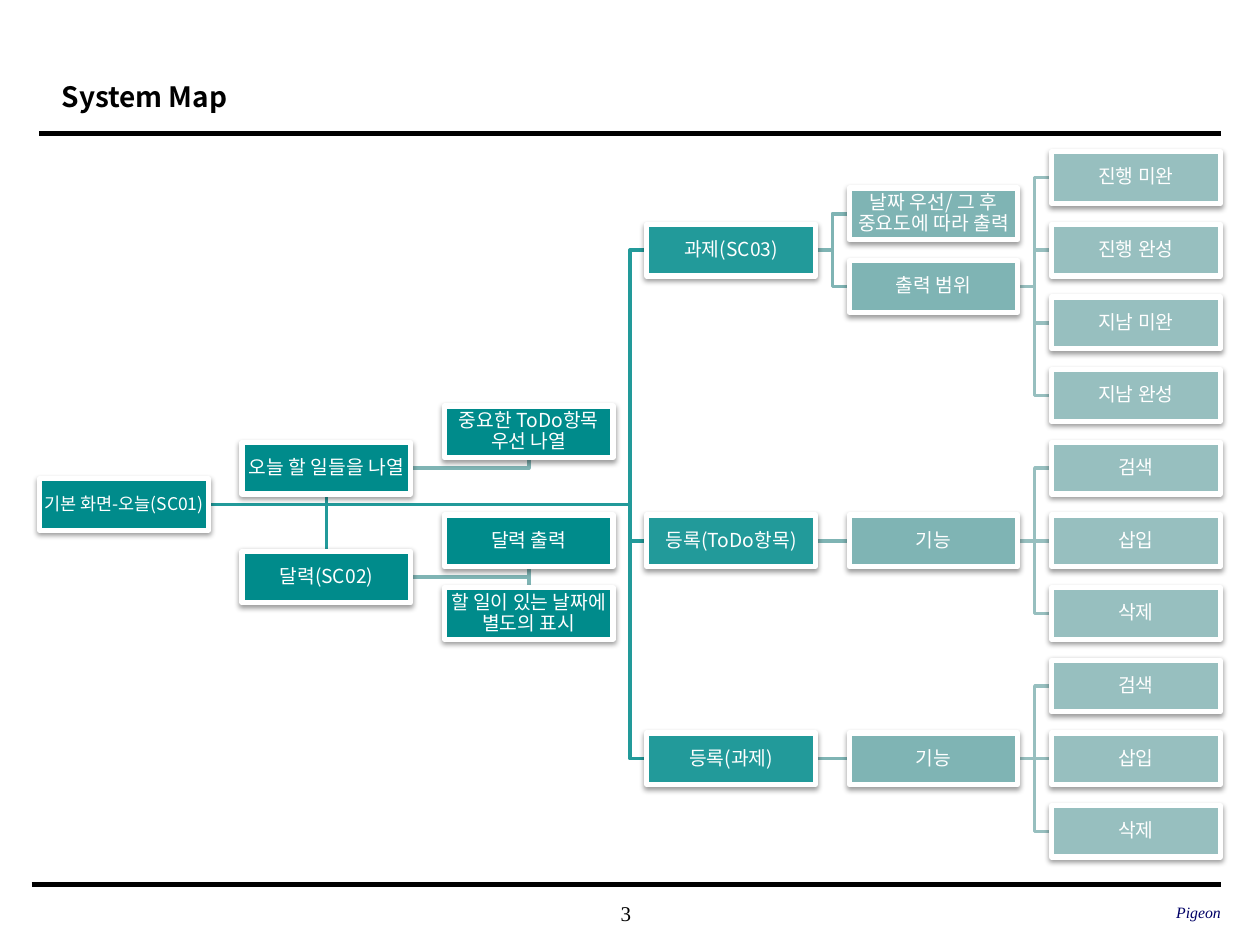
from dataclasses import dataclass
from typing import Iterator

from lxml.etree import SubElement
from pptx import Presentation
from pptx.dml.color import RGBColor
from pptx.enum.shapes import MSO_CONNECTOR, MSO_SHAPE
from pptx.enum.text import MSO_ANCHOR, MSO_AUTO_SIZE, PP_ALIGN
from pptx.oxml.ns import qn
from pptx.util import Cm, Pt

COLORS = {
    "black": "000000",
    "white": "FFFFFF",
    "navy": "000066",
    "level0": "008B8B",
    "level1": "229A9A",
    "level2": "7FB4B4",
    "level3": "97BFBF",
}
SANS, SERIF = "Noto Sans CJK KR", "Times New Roman"

BOX_W, BOX_H = 3.4, 1.04
LEFT, COL_STEP = 0.8, 4.08
FIRST_ROW, LAST_ROW = 3.58, 16.76
ROW_STEP = (LAST_ROW - FIRST_ROW) / 18
GAP = COL_STEP - BOX_W


@dataclass(frozen=True)
class Node:
    text: str
    col: int
    row: int
    children: tuple["Node", ...] = ()
    assistant: bool = False
    size: float = 11

    @property
    def x(self) -> float:
        return LEFT + self.col * COL_STEP

    @property
    def y(self) -> float:
        return FIRST_ROW + self.row * ROW_STEP


def leaves(first_row: int, *texts: str) -> tuple[Node, ...]:
    return tuple(Node(t, 5, first_row + 2 * i) for i, t in enumerate(texts))


def registration(text: str, row: int) -> Node:
    actions = leaves(row - 2, "검색", "삽입", "삭제")
    return Node(text, 3, row, (Node("기능", 4, row, actions),))


TREE = Node("기본 화면-오늘(SC01)", 0, 9, (
    Node("과제(SC03)", 3, 2, (
        Node("날짜 우선/ 그 후 중요도에 따라 출력", 4, 1),
        Node("출력 범위", 4, 3, leaves(0, "진행 미완", "진행 완성", "지남 미완", "지남 완성")),
    )),
    registration("등록(ToDo항목)", 10),
    registration("등록(과제)", 16),
    Node("오늘 할 일들을 나열", 1, 8, (
        Node("중요한 ToDo항목 우선 나열", 2, 7, assistant=True),
    ), assistant=True),
    Node("달력(SC02)", 1, 11, (
        Node("달력 출력", 2, 10, assistant=True),
        Node("할 일이 있는 날짜에 별도의 표시", 2, 12, assistant=True),
    ), assistant=True),
), size=10)


def rgb(name: str) -> RGBColor:
    return RGBColor.from_string(COLORS[name])


def walk(node: Node, depth: int = 0) -> Iterator[tuple[Node, int]]:
    yield node, depth
    for child in node.children:
        yield from walk(child, depth + 1)


def write(tf, text: str, font: str, size: float, color: str, align):
    p = tf.paragraphs[0]
    p.text = text
    p.alignment = align
    p.font.name = font
    p.font.size = Pt(size)
    p.font.color.rgb = rgb(color)
    props = p.font.fill._xPr
    SubElement(props, qn("a:ea"), typeface=font)
    return p


def set_insets(tf, inset: float) -> None:
    tf.margin_left = tf.margin_right = tf.margin_top = tf.margin_bottom = Cm(inset)
    tf.vertical_anchor = MSO_ANCHOR.MIDDLE
    tf.word_wrap = True


def draw_line(shapes, start, end, color: str, width: float) -> None:
    sp = shapes.add_connector(MSO_CONNECTOR.STRAIGHT, *(Cm(v) for v in (*start, *end)))
    sp.line.color.rgb = rgb(color)
    sp.line.width = Pt(width)
    SubElement(sp._element.spPr, qn("a:effectLst"))


def draw_link(shapes, parent: Node, child: Node, color: str) -> None:
    start = (parent.x + BOX_W, parent.y)
    if child.row == parent.row:
        draw_line(shapes, start, (child.x, child.y), color, 2)
        return
    if child.assistant:
        x = child.x + BOX_W / 2
        edge = -BOX_H / 2 if child.row > parent.row else BOX_H / 2
        points = [(x, parent.y), (x, child.y + edge)]
    else:
        x = child.x - GAP / 2
        points = [(x, parent.y), (x, child.y), (child.x, child.y)]
    builder = shapes.build_freeform(Cm(start[0]), Cm(start[1]))
    builder.add_line_segments([(Cm(a), Cm(b)) for a, b in points], close=False)
    sp = builder.convert_to_shape()
    sp.shadow.inherit = False
    sp.fill.background()
    sp.line.color.rgb = rgb(color)
    sp.line.width = Pt(2)


def add_shadow(sp) -> None:
    sp.shadow.inherit = False
    effects = sp._element.spPr.find(qn("a:effectLst"))
    shadow = SubElement(effects, qn("a:outerShdw"), blurRad=str(Pt(3.1)),
                        dist=str(Pt(1.6)), dir="5400000", rotWithShape="0")
    color = SubElement(shadow, qn("a:srgbClr"), val=COLORS["black"])
    SubElement(color, qn("a:alpha"), val="38000")


def draw_box(shapes, node: Node, color: str) -> None:
    sp = shapes.add_shape(MSO_SHAPE.RECTANGLE, Cm(node.x), Cm(node.y - BOX_H / 2),
                          Cm(BOX_W), Cm(BOX_H))
    add_shadow(sp)
    sp.fill.solid()
    sp.fill.fore_color.rgb = rgb(color)
    sp.line.color.rgb = rgb("white")
    sp.line.width = Pt(3)
    set_insets(sp.text_frame, 0.03)
    p = write(sp.text_frame, node.text, SANS, node.size, "white", PP_ALIGN.CENTER)
    p.line_spacing = 0.9
    p.space_after = Pt(4)


def draw_footer(shapes, text: str, x: float, y: float, w: float, size: float, color: str, align):
    sp = shapes.add_textbox(Cm(x), Cm(y), Cm(w), Cm(0.84))
    set_insets(sp.text_frame, 0)
    return write(sp.text_frame, text, SERIF, size, color, align)


def draw_title(title, text: str) -> None:
    title.left, title.top, title.width, title.height = Cm(0.99), Cm(1.24), Cm(19.18), Cm(1.27)
    tf = title.text_frame
    tf.auto_size = MSO_AUTO_SIZE.NONE
    tf.vertical_anchor = MSO_ANCHOR.MIDDLE
    p = write(tf, text, SANS, 16, "black", PP_ALIGN.LEFT)
    p.font.bold = True
    p.line_spacing = 1.2


def main() -> None:
    prs = Presentation()
    prs.slide_width, prs.slide_height = Cm(25.4), Cm(19.05)
    slide = prs.slides.add_slide(prs.slide_layouts[5])
    shapes = slide.shapes

    draw_title(shapes.title, "System Map")
    draw_line(shapes, (0.79, 2.69), (24.61, 2.69), "black", 2.5)
    draw_line(shapes, (0.64, 17.83), (24.61, 17.83), "black", 3)
    draw_footer(shapes, "3", 9.98, 17.98, 5.28, 12, "black", PP_ALIGN.CENTER)
    p = draw_footer(shapes, "Pigeon", 16.84, 17.96, 7.77, 9, "navy", PP_ALIGN.RIGHT)
    p.font.italic = True

    for node, depth in reversed(list(walk(TREE))):
        for child in reversed(node.children):
            draw_link(shapes, node, child, f"level{depth + 1}")
    for node, depth in walk(TREE):
        draw_box(shapes, node, "level0" if node.assistant else f"level{depth}")

    prs.save("out.pptx")


if __name__ == "__main__":
    main()
